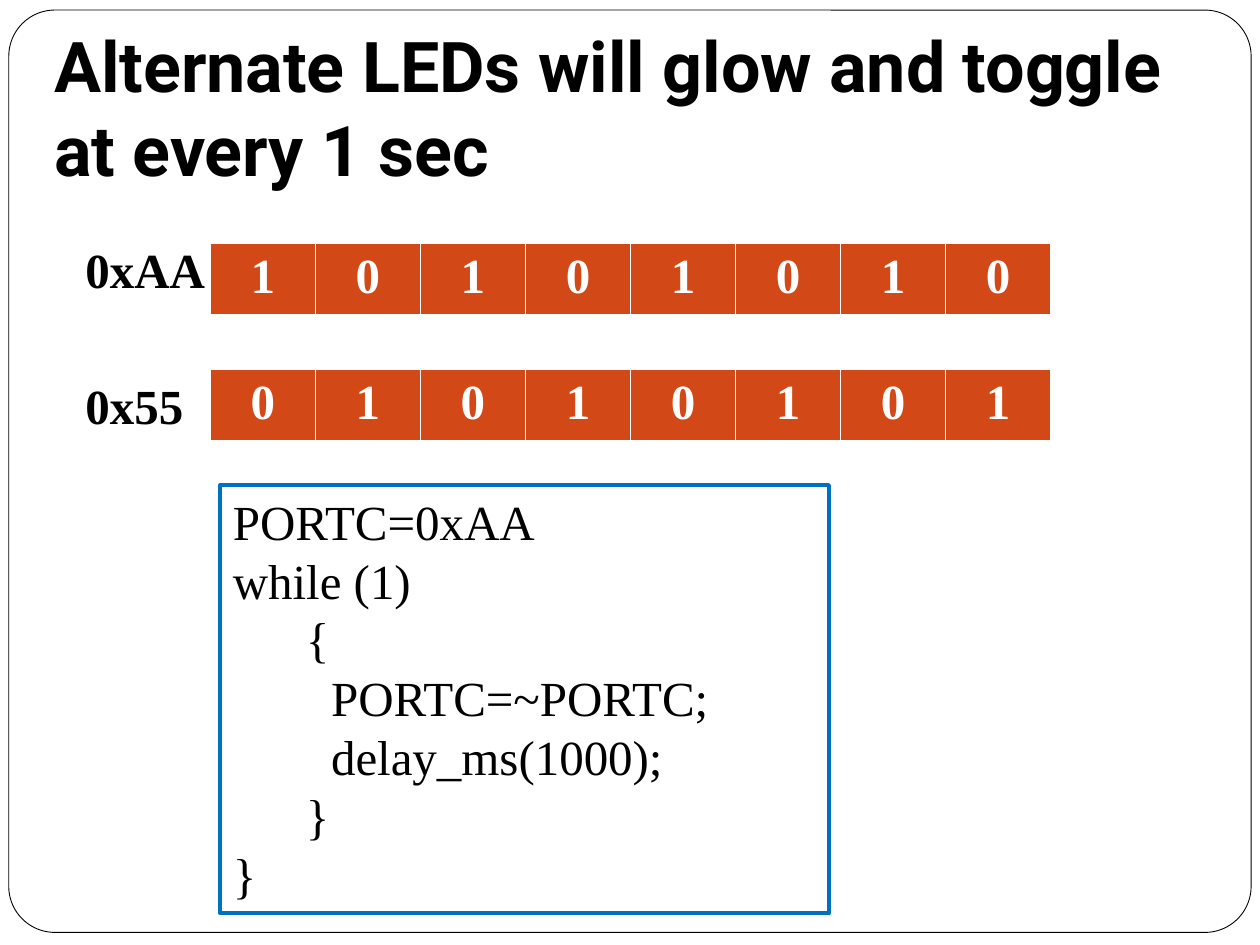
from pptx import Presentation
from pptx.dml.color import RGBColor
from pptx.enum import shapes, text
from pptx.util import Inches, Pt

HUES = {"ink": "000000", "paper": "FFFFFF", "rust": "D34817", "blue": "0070C0"}
SERIF = "Times New Roman"
LEFT, CENTER = text.PP_ALIGN.LEFT, text.PP_ALIGN.CENTER


def hue(name):
    return RGBColor.from_string(HUES[name])


def write(para, words, size=28, face=SERIF, ink="ink", bold=False, align=LEFT):
    """Put one formatted run into a paragraph."""
    para.alignment = align
    run = para.add_run()
    run.text = words
    for key, val in {"size": Pt(size), "name": face, "bold": bold}.items():
        setattr(run.font, key, val)
    run.font.color.rgb = hue(ink)


deck = Presentation()
deck.slide_width, deck.slide_height = Inches(10), Inches(7.5)
slide = deck.slides.add_slide(deck.slide_layouts[5])
items = slide.shapes

# Rounded frame, behind the title
frame = items.add_shape(shapes.MSO_SHAPE.ROUNDED_RECTANGLE,
                        Inches(0.07), Inches(0.08), Inches(9.86), Inches(7.32))
frame.adjustments[0] = 0.05
frame.shadow.inherit = False
frame.fill.solid()
frame.fill.fore_color.rgb = hue("paper")
frame.line.color.rgb = hue("ink")
frame.line.width = Pt(0.5)
title = items.title
title._element.addprevious(frame._element)

# Title
place = {"left": 0.33, "top": 0.08, "width": 9.25, "height": 1.53}
for key, val in place.items():
    setattr(title, key, Inches(val))
body = title.text_frame
form = {"vertical_anchor": text.MSO_ANCHOR.BOTTOM, "word_wrap": True,
        "auto_size": text.MSO_AUTO_SIZE.NONE, "margin_bottom": Inches(0.1)}
for key, val in form.items():
    setattr(body, key, val)
write(body.paragraphs[0], "Alternate LEDs will glow and toggle at every 1 sec",
      size=40, face="Roboto", bold=True)

# Code box
code = [(0, "PORTC=0xAA"), (0, "while (1)"), (0.58, "{"),
        (0.78, "PORTC=~PORTC;"), (0.78, "delay_ms(1000);"), (0.58, "}"), (0, "}")]
box = items.add_shape(shapes.MSO_SHAPE.RECTANGLE,
                      Inches(1.75), Inches(3.85), Inches(4.83), Inches(3.4))
box.shadow.inherit = False
box.fill.background()
box.line.color.rgb = hue("blue")
box.line.width = Pt(2.25)
body = box.text_frame
body.vertical_anchor = text.MSO_ANCHOR.TOP
for n, (indent, line) in enumerate(code):
    para = body.add_paragraph() if n else body.paragraphs[0]
    para._p.get_or_add_pPr().set("marL", str(Inches(indent)))
    write(para, line)

# Port values: a label and a row of eight bits each
for name, value, label_top, row_top in [("0xAA", 0xAA, 1.85, 1.93),
                                        ("0x55", 0x55, 2.93, 2.93)]:
    bits = f"{value:08b}"
    grid = items.add_table(1, len(bits), Inches(1.67), Inches(row_top),
                           Inches(6.67), Inches(0.57)).table
    for cell, bit in zip(grid.rows[0].cells, bits):
        cell.fill.solid()
        cell.fill.fore_color.rgb = hue("rust")
        write(cell.text_frame.paragraphs[0], bit,
              ink="paper", bold=True, align=CENTER)
    label = items.add_textbox(Inches(0.58), Inches(label_top),
                              Inches(1.42), Inches(0.57))
    label.text_frame.word_wrap = True
    write(label.text_frame.paragraphs[0], name, bold=True)

deck.save("out.pptx")
